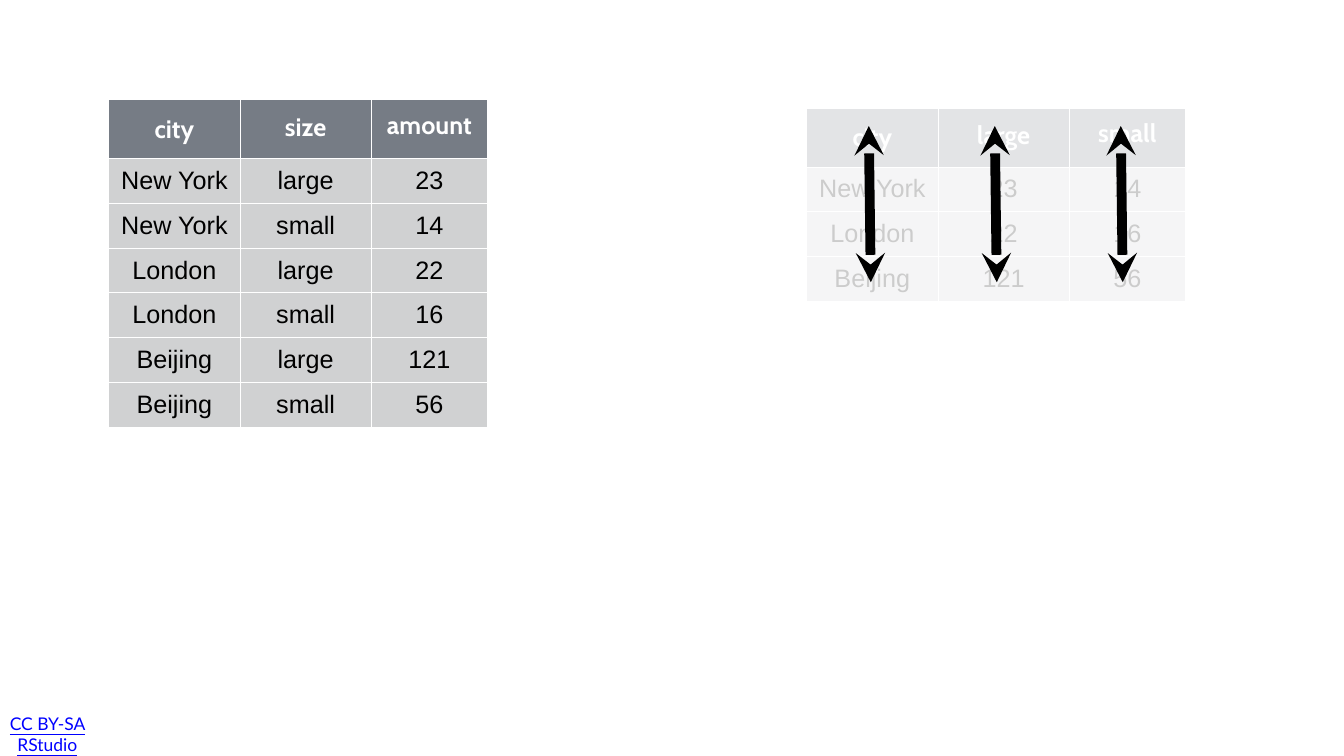
from lxml import etree
from pptx import Presentation
from pptx import util as u
from pptx.dml.color import RGBColor
from pptx.enum import shapes, text
from pptx.oxml.ns import qn

COLORS = {"header": "767C85", "body": "D0D1D2", "white": "FFFFFF",
          "black": "000000", "link": "0000FF"}
COLUMN_WIDTHS = [2.62, 2.59, 2.32]
HEADER_SPACING = [1.0, 0.8, 0.6]
LONG_ROWS = [
    ["city", "size", "amount"],
    ["New York", "large", "23"],
    ["New York", "small", "14"],
    ["London", "large", "22"],
    ["London", "small", "16"],
    ["Beijing", "large", "121"],
    ["Beijing", "small", "56"],
]
WIDE_ROWS = [
    ["city", "large", "small"],
    ["New York", "23", "14"],
    ["London", "22", "16"],
    ["Beijing", "121", "56"],
]


def rgb(name):
    return RGBColor.from_string(COLORS[name])


class Deck:
    def __init__(self, slide):
        self.s = slide

    def style(self, p, size, font, color, bold=False, underline=False):
        p.alignment = text.PP_ALIGN.CENTER
        for r in p.runs:
            f = r.font
            f.size, f.name, f.bold = u.Pt(size), font, bold
            f.underline = underline
            f.color.rgb = rgb(color)

    def credit(self, x, y, w, h, words):
        tf = self.s.shapes.add_textbox(*map(u.Inches, (x, y, w, h))).text_frame
        tf.word_wrap = True
        tf.vertical_anchor = text.MSO_ANCHOR.MIDDLE
        tf.margin_left = tf.margin_right = tf.margin_top = tf.margin_bottom = 0
        tf.text = words
        self.style(tf.paragraphs[0], 25, "Lato", "link", underline=True)

    def borders(self, cell):
        tcPr = cell._tc.get_or_add_tcPr()
        for i, side in enumerate(("a:lnL", "a:lnR", "a:lnT", "a:lnB")):
            ln = etree.Element(qn(side), w=str(u.Pt(1)))
            fill = etree.SubElement(ln, qn("a:solidFill"))
            etree.SubElement(fill, qn("a:srgbClr"), val=COLORS["white"])
            tcPr.insert(i, ln)

    def table(self, x, y, rows, header_height, row_height=0.89):
        heights = [header_height] + [row_height] * (len(rows) - 1)
        size = (x, y, sum(COLUMN_WIDTHS), sum(heights))
        table = self.s.shapes.add_table(
            len(rows), len(COLUMN_WIDTHS), *map(u.Inches, size)).table
        for column, width in zip(table.columns, COLUMN_WIDTHS):
            column.width = u.Inches(width)
        for i, (row, height) in enumerate(zip(rows, heights)):
            table.rows[i].height = u.Inches(height)
            for j, words in enumerate(row):
                self.cell(table.cell(i, j), words, i == 0, HEADER_SPACING[j])

    def cell(self, cell, words, header, spacing):
        cell.fill.solid()
        cell.fill.fore_color.rgb = rgb("header" if header else "body")
        cell.vertical_anchor = text.MSO_ANCHOR.MIDDLE
        cell.margin_left = cell.margin_right = u.Inches(0.06)
        cell.margin_top = cell.margin_bottom = u.Inches(0.06)
        cell.text = words
        p = cell.text_frame.paragraphs[0]
        if header:
            self.style(p, 36, "Cabin", "white", bold=True)
            p.line_spacing = spacing
        else:
            self.style(p, 36, "Arial", "black")
        self.borders(cell)

    def veil(self, x, y, w, h, opacity):
        sp = self.s.shapes.add_shape(
            shapes.MSO_SHAPE.RECTANGLE, *map(u.Inches, (x, y, w, h)))
        sp.shadow.inherit = False
        sp.line.fill.background()
        sp.fill.solid()
        sp.fill.fore_color.rgb = rgb("white")
        color = sp._element.spPr.find(".//" + qn("a:srgbClr"))
        etree.SubElement(color, qn("a:alpha"), val=str(opacity * 1000))

    def arrow(self, x1, y1, x2, y2):
        c = self.s.shapes.add_connector(
            shapes.MSO_CONNECTOR.STRAIGHT, *map(u.Inches, (x1, y1, x2, y2)))
        c.line.width = u.Pt(14)
        c.line.color.rgb = rgb("black")
        ln = c.line._get_or_add_ln()
        for end in ("a:headEnd", "a:tailEnd"):
            etree.SubElement(ln, qn(end), type="stealth")
        etree.SubElement(c._element.spPr, qn("a:effectLst"))


def main():
    prs = Presentation()
    prs.slide_width, prs.slide_height = u.Inches(26.67), u.Inches(15)
    deck = Deck(prs.slides.add_slide(prs.slide_layouts[6]))
    deck.credit(0.12, 14.26, 1.64, 0.6, "CC BY-SA RStudio")
    deck.table(2.15, 1.98, LONG_ROWS, 1.16)
    deck.table(16, 2.14, WIDE_ROWS, 1.17)
    deck.veil(15.98, 2.12, 7.57, 3.85, 80)
    for x in (17.28, 19.78, 22.28):
        deck.arrow(x, 5.6, x - 0.04, 2.5)
    prs.save("out.pptx")


if __name__ == "__main__":
    main()
